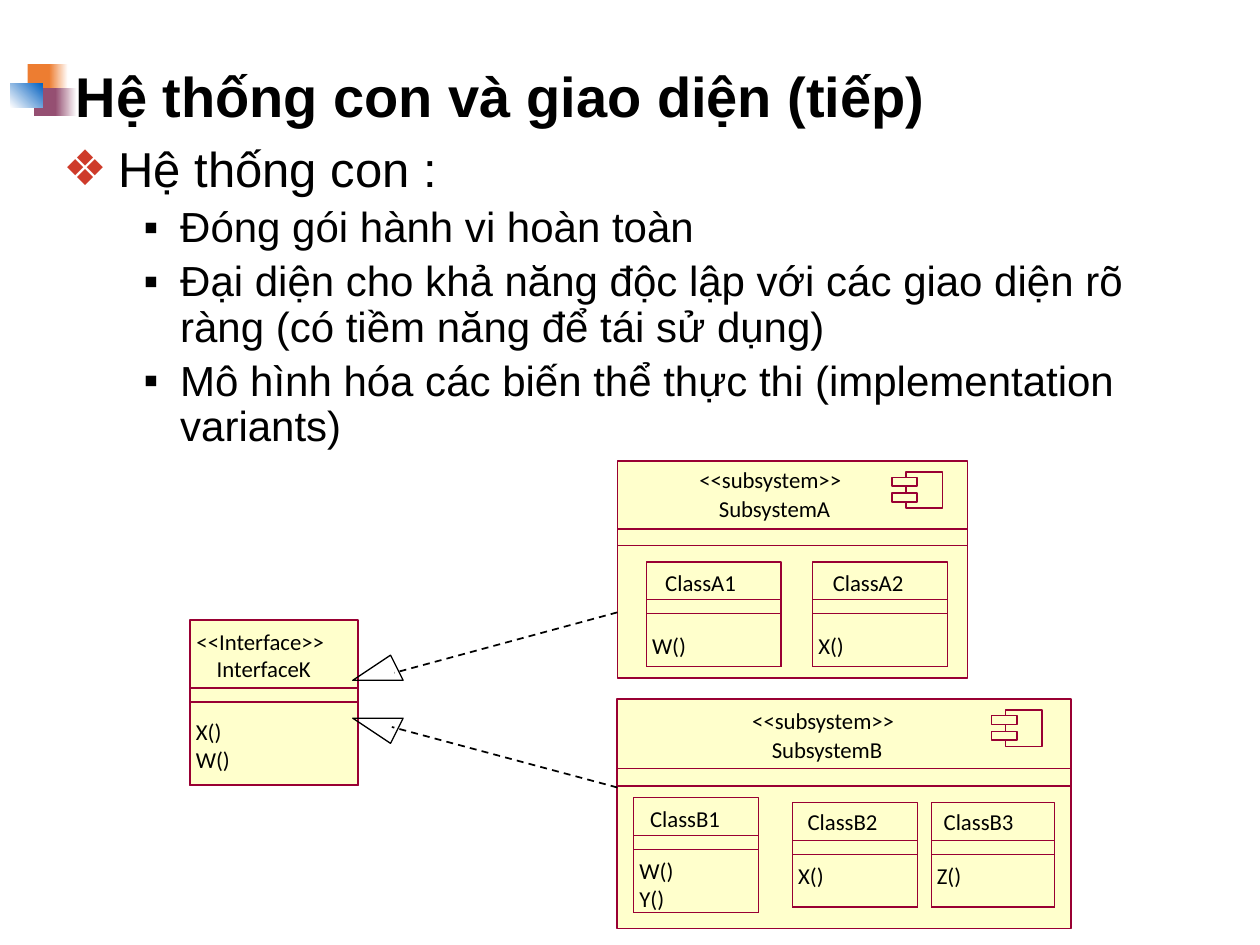
"""Build the slide on subsystems and interfaces, on a grid of 100 by 75 cells."""
from lxml import etree
from pptx import Presentation
from pptx import util as u
from pptx.dml.color import RGBColor
from pptx.enum import dml, shapes, text
from pptx.oxml.ns import qn

hue = RGBColor.from_string
deck = Presentation()
deck.slide_width, deck.slide_height = u.Inches(10), u.Inches(7.5)
cell = deck.slide_width // 100
page = deck.slides.add_slide(deck.slide_layouts[1])
tree = page.shapes
CREAM, WINE, BLACK = "FFFFCC", "990033", "000000"


def box(x, y, w, h, fill=None, wide=None):
    rect = tree.add_shape(shapes.MSO_SHAPE.RECTANGLE, *[round(n * cell) for n in (x, y, w, h)])
    rect.shadow.inherit = False
    if fill:
        rect.fill.solid()
        rect.fill.fore_color.rgb = hue(fill)
    else:
        rect.fill.background()
    if wide is None:
        rect.line.fill.background()
    else:
        rect.line.color.rgb = hue(WINE)
        rect.line.width = u.Pt(wide)
    return rect


def note(x, y, w, words):
    frame = tree.add_textbox(*[round(n * cell) for n in (x, y, w, 2.2)]).text_frame
    form = {"margin_left": 0, "margin_right": 0, "margin_top": 0, "margin_bottom": 0,
            "word_wrap": False, "auto_size": text.MSO_AUTO_SIZE.SHAPE_TO_FIT_TEXT}
    for key, val in form.items():
        setattr(frame, key, val)
    run = frame.paragraphs[0].add_run()
    run.text = words
    for key, val in {"name": "Calibri", "size": u.Pt(13)}.items():
        setattr(run.font, key, val)
    run.font.color.rgb = hue(BLACK)


for x, y, w, h, first, last, turn in [
    (2.2, 5.1, 2, 2.2, "ED7D31", None, 0),
    (3.9, 5.1, 1.5, 2.2, "ED7D31", "FFFFFF", 0),
    (2.7, 7, 1.9, 2.2, "954F72", None, 0),
    (4.4, 7, 1.7, 2.2, "954F72", "FFFFFF", 0),
    (0.8, 6.6, 2.6, 1.9, "FFFFFF", "0563C1", 45),
]:
    tile = box(x, y, w, h, first)
    if last:
        tile.fill.gradient()
        tile.fill.gradient_angle = turn
        for stop, tint, place in zip(tile.fill.gradient_stops, (first, last), (0, 1)):
            stop.color.rgb = hue(tint)
            stop.position = place

lines = [
    (0, "Hệ thống con :"),
    (1, "Đóng gói hành vi hoàn toàn"),
    (1, "Đại diện cho khả năng độc lập với các giao diện rõ ràng (có tiềm năng để tái sử dụng)"),
    (1, "Mô hình hóa các biến thể thực thi (implementation variants)"),
]
ranks = [(4.4, 4.4, "CE3B2A", "❖", 28), (9.3, 2.9, BLACK, "▪", 24)]
head, body = tree.title, page.placeholders[1]
for item, spot, anchor in [
    (head, (5, 3.9, 90, 7.9), text.MSO_ANCHOR.MIDDLE),
    (body, (4, 11, 92.8, 54.2), text.MSO_ANCHOR.TOP),
]:
    for key, val in zip(("left", "top", "width", "height"), spot):
        setattr(item, key, round(val * cell))
    item.text_frame.auto_size = text.MSO_AUTO_SIZE.NONE
    item.text_frame.vertical_anchor = anchor
head.text_frame.text = "Hệ thống con và giao diện (tiếp)"
body.text_frame.text = "\n".join(words for rank, words in lines)
paras = body.text_frame.paragraphs
for para, (rank, words) in zip(paras, lines):
    left, hang, tint, mark, size = ranks[rank]
    para.level = rank
    props = para._p.get_or_add_pPr()
    props.set("marL", str(round(left * cell)))
    props.set("indent", str(round(-hang * cell)))
    color = etree.SubElement(props, qn("a:buClr"))
    etree.SubElement(color, qn("a:srgbClr"), val=tint)
    etree.SubElement(props, qn("a:buFont"), typeface="Arial")
    etree.SubElement(props, qn("a:buChar"), char=mark)
    para.space_before = u.Pt(5 * rank)
    para.font.size = u.Pt(size)
title = head.text_frame.paragraphs[0]
title.font.size, title.font.bold = u.Pt(32), True
for para in (title, *paras):
    para.alignment = text.PP_ALIGN.LEFT
    para.line_spacing = 0.9
    para.font.name = "Arial"
    para.font.color.rgb = hue(BLACK)

wires = []
for x, y, w, h, name, dx, dy, tag, bars in [
    (49, 36.6, 27.8, 17.2, "SubsystemA", 6.5, 0.4, 21.8, (42, 43.3)),
    (49, 55.5, 36, 18.2, "SubsystemB", 10.7, 0.6, 29.7, (61, 62.4)),
]:
    box(x, y, w, h, CREAM, 1)
    note(x + dx, y + dy, 12.9, "<<subsystem>>")
    note(x + dx + 1.55, y + dy + 2.3, 10.1, name)
    box(x + tag + 1.1, y + 0.85, 2.9, 2.9, CREAM, 1)
    for drop in (2.55, 1.3):
        box(x + tag, y + drop, 2, 0.7, CREAM, 1)
    wires += [(x, bar, x + w, bar, WINE, None) for bar in bars]

for x, y, w, h, top, wide, name, dx, dy, calls, start in [
    (15.1, 49.2, 13.3, 13.1, 5.4, 1, "InterfaceK", 2.1, 2.8, ["X()", "W()"], 7.8),
    (51.3, 44.6, 10.7, 8.3, 3, 0, "ClassA1", 1.5, 0.5, ["W()"], 5.5),
    (64.5, 44.6, 10.7, 8.3, 3, 0, "ClassA2", 1.6, 0.5, ["X()"], 5.5),
    (50.3, 63.3, 9.9, 9.1, 3, 0, "ClassB1", 1.3, 0.6, ["W()", "Y()"], 4.7),
    (62.9, 63.7, 9.9, 8.3, 3, 0, "ClassB2", 1.2, 0.4, ["X()"], 4.7),
    (73.9, 63.7, 9.8, 8.3, 3, 0, "ClassB3", 1, 0.4, ["Z()"], 4.7),
]:
    box(x, y, w, h, CREAM, wide)
    for drop in (top, top + 1.1):
        box(x, y + drop, w, h - drop, None, wide)
    note(x + dx, y + dy, 8.2 if wide else 6.7, name)
    for row, call in enumerate(calls):
        note(x + 0.45, y + start + 2.2 * row, 2.9 if call == "W()" else 2.4, call)
note(15.6, 49.8, 11.3, "<<Interface>>")

dash = dml.MSO_LINE.DASH
wires += [(49, 48.6, 31.3, 53.4, BLACK, dash), (49, 62.5, 31.1, 57.7, BLACK, dash)]
for *ends, tint, style in wires:
    wire = tree.add_connector(shapes.MSO_CONNECTOR.STRAIGHT, *[round(n * cell) for n in ends])
    etree.SubElement(wire._element.spPr, qn("a:effectLst"))
    wire.line.color.rgb = hue(tint)
    wire.line.width = u.Pt(1)
    if style:
        wire.line.dash_style = style

for tip, *rest in [
    ((28.4, 54), (31.6, 54.3), (31, 52.3)),
    ((28.4, 56.9), (31.5, 56.8), (31, 58.8)),
]:
    path = tree.build_freeform(*tip, scale=cell)
    path.add_line_segments(rest, close=True)
    arrow = path.convert_to_shape()
    arrow.shadow.inherit = False
    arrow.fill.background()
    arrow.line.color.rgb = hue(BLACK)
    arrow.line.width = u.Pt(0)

deck.save("out.pptx")
